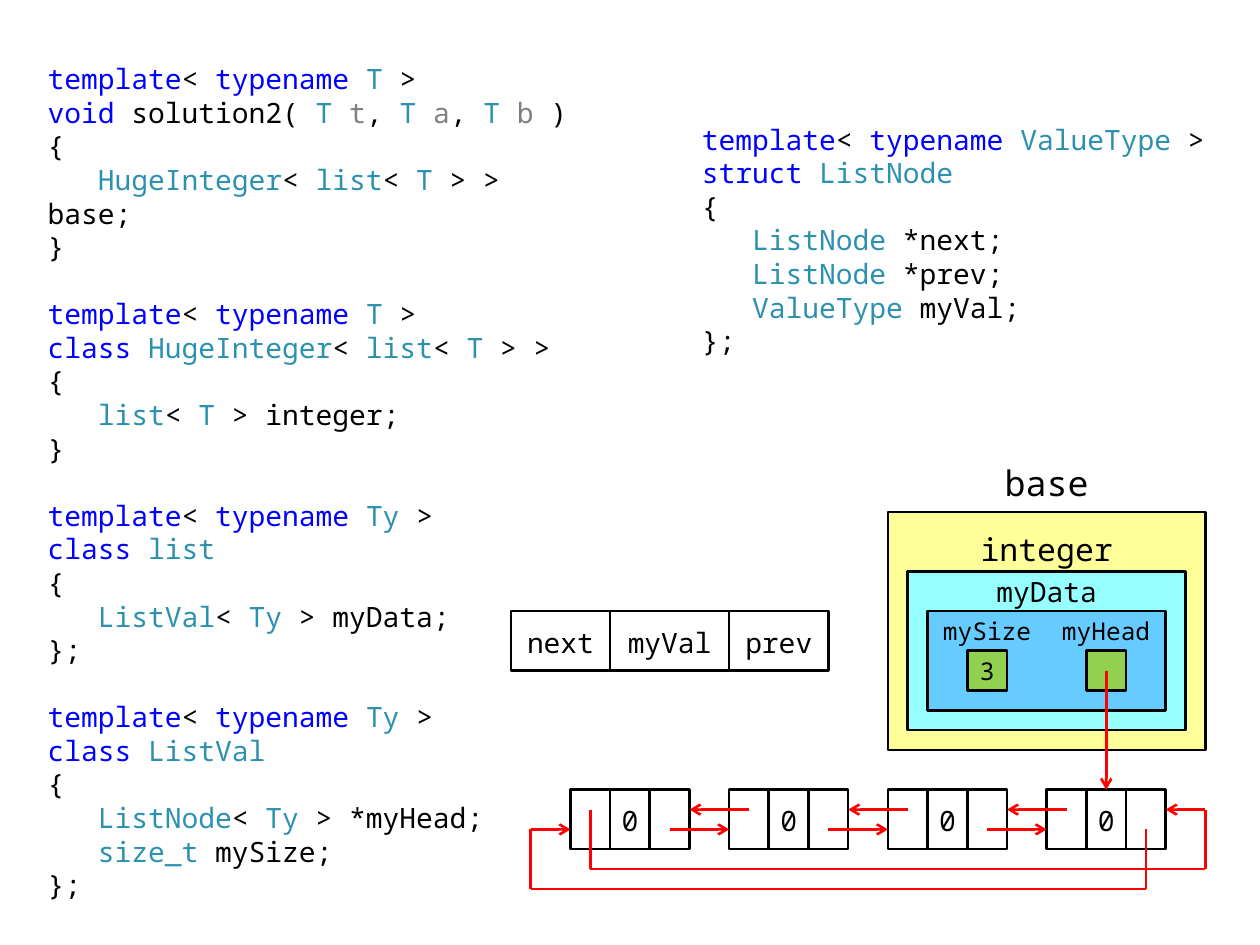
from dataclasses import dataclass
from itertools import groupby

from lxml import etree
from pptx import Presentation
from pptx.dml.color import RGBColor
from pptx.enum.shapes import MSO_CONNECTOR, MSO_SHAPE
from pptx.enum.text import MSO_ANCHOR, PP_ALIGN
from pptx.oxml.ns import qn
from pptx.util import Cm, Pt

RECT = MSO_SHAPE.RECTANGLE
PROCESS = MSO_SHAPE.FLOWCHART_PROCESS
STRAIGHT = MSO_CONNECTOR.STRAIGHT
MIDDLE, TOP = MSO_ANCHOR.MIDDLE, MSO_ANCHOR.TOP
CENTER = PP_ALIGN.CENTER


@dataclass(frozen=True)
class Theme:
    font: str = "Noto Sans Mono"
    text: RGBColor = RGBColor(0, 0, 0)
    keyword: RGBColor = RGBColor(0x00, 0x00, 0xFF)
    type_name: RGBColor = RGBColor(0x2B, 0x91, 0xAF)
    parameter: RGBColor = RGBColor(0x80, 0x80, 0x80)
    pointer: RGBColor = RGBColor(0xFF, 0x00, 0x00)
    base: RGBColor = RGBColor(0xFF, 0xFF, 0x99)
    integer: RGBColor = RGBColor(0x96, 0xFF, 0xFF)
    data: RGBColor = RGBColor(0x66, 0xCC, 0xFF)
    field: RGBColor = RGBColor(0x92, 0xD0, 0x50)
    small: Pt = Pt(14)
    code: Pt = Pt(16)
    medium: Pt = Pt(18)
    large: Pt = Pt(20)
    code_line: Pt = Pt(19.2)
    stroke: Pt = Pt(1.5)


THEME = Theme()

# The diagram lies on a square grid; positions in it are (column, row).
GRID_LEFT, GRID_TOP, STEP = 10.3, 10.32, 0.4

TOKEN_COLORS = {
    **dict.fromkeys("template typename void class struct".split(), THEME.keyword),
    **dict.fromkeys("T Ty HugeInteger list ListVal ListNode ValueType size_t".split(),
                    THEME.type_name),
    **dict.fromkeys("t a b".split(), THEME.parameter),
}

LIST_CODE = """\
template< typename T >
void solution2( T t, T a, T b )
{
   HugeInteger< list< T > > base;
}

template< typename T >
class HugeInteger< list< T > >
{
   list< T > integer;
}

template< typename Ty >
class list
{
   ListVal< Ty > myData;
};

template< typename Ty >
class ListVal
{
   ListNode< Ty > *myHead;
   size_t mySize;
};"""

NODE_CODE = """\
template< typename ValueType >
struct ListNode
{
   ListNode *next;
   ListNode *prev;
   ValueType myVal;
};"""


def grid_x(col):
    return Cm(GRID_LEFT + col * STEP)


def grid_y(row):
    return Cm(GRID_TOP + row * STEP)


def is_word_char(char):
    return char.isalnum() or char == "_"


def add_code(slide, left, top, width, height, code):
    """Add highlighted code; blocks parted by a blank line get space between them."""
    tf = slide.shapes.add_textbox(Cm(left), Cm(top), Cm(width), Cm(height)).text_frame
    tf.word_wrap = True
    tf.vertical_anchor = TOP
    p = None
    for block in code.split("\n\n"):
        for i, line in enumerate(block.split("\n")):
            first = p is None
            p = tf.paragraphs[0] if first else tf.add_paragraph()
            p.line_spacing = THEME.code_line
            p.space_before = THEME.code_line if i == 0 and not first else Pt(0)
            p.font.name, p.font.size = THEME.font, THEME.code
            for _, chars in groupby(line, is_word_char):
                r = p.add_run()
                r.text = "".join(chars)
                r.font.color.rgb = TOKEN_COLORS.get(r.text, THEME.text)


def set_label(sp, text, size, inset_top=0.0):
    tf = sp.text_frame
    tf.word_wrap = True
    tf.vertical_anchor = MIDDLE
    tf.margin_left = tf.margin_right = tf.margin_bottom = 0
    tf.margin_top = Cm(inset_top)
    p = tf.paragraphs[0]
    p.text = text
    p.alignment = CENTER
    p.font.name, p.font.size = THEME.font, size
    p.font.color.rgb = THEME.text


def add_box(slide, col, row, cols, rows, fill=None, kind=RECT):
    sp = slide.shapes.add_shape(kind, grid_x(col), grid_y(row),
                                Cm(cols * STEP), Cm(rows * STEP))
    sp.shadow.inherit = False
    if fill is None:
        sp.fill.background()
    else:
        sp.fill.solid()
        sp.fill.fore_color.rgb = fill
    sp.line.color.rgb = THEME.text
    sp.line.width = THEME.stroke
    return sp


def add_label(slide, col, row, cols, rows, text, size, inset_top=0.0):
    sp = slide.shapes.add_textbox(grid_x(col), grid_y(row),
                                  Cm(cols * STEP), Cm(rows * STEP))
    set_label(sp, text, size, inset_top)


def add_pointer(slide, *points):
    """Join the grid points with straight lines, with an arrowhead at the last."""
    for start, end in zip(points, points[1:]):
        cxn = slide.shapes.add_connector(STRAIGHT, grid_x(start[0]), grid_y(start[1]),
                                         grid_x(end[0]), grid_y(end[1]))
        cxn.line.color.rgb = THEME.pointer
        cxn.line.width = THEME.stroke
        sp_pr = cxn._element.spPr
        if end == points[-1]:
            etree.SubElement(sp_pr.find(qn("a:ln")), qn("a:tailEnd"), type="arrow")
        etree.SubElement(sp_pr, qn("a:effectLst"))


def add_base_object(slide):
    add_box(slide, 19, 0, 16, 12, THEME.base, PROCESS)
    add_box(slide, 20, 3, 14, 8, THEME.integer, PROCESS)
    add_box(slide, 21, 5, 12, 5, THEME.data, PROCESS)
    add_label(slide, 20, -3, 14, 3, "base", THEME.large)
    add_label(slide, 23, 0, 8, 3, "integer", THEME.medium, 0.3)
    add_label(slide, 23, 3, 8, 2, "myData", THEME.code)
    for col, name, value in ((21, "mySize", "3"), (27, "myHead", "")):
        add_label(slide, col, 5, 6, 2, name, THEME.small)
        field = add_box(slide, col + 2, 7, 2, 2, THEME.field)
        if value:
            set_label(field, value, THEME.small)


def add_node_layout(slide):
    for col, cols, name in ((0, 5, "next"), (5, 6, "myVal"), (11, 5, "prev")):
        set_label(add_box(slide, col, 5, cols, 3), name, THEME.code, 0.05)


def add_linked_list(slide):
    node_cols = range(3, 28, 8)
    for col in node_cols:
        for offset in (0, 2, 4):
            cell = add_box(slide, col + offset, 14, 2, 3)
            if offset == 2:
                set_label(cell, "0", THEME.code, 0.05)
    for col, following in zip(node_cols, node_cols[1:]):
        add_pointer(slide, (following + 1, 15), (col + 6, 15))
        add_pointer(slide, (col + 5, 16), (following, 16))
    add_pointer(slide, (4, 15), (4, 18), (35, 18), (35, 15), (33, 15))
    add_pointer(slide, (32, 16), (32, 19), (1, 19), (1, 16), (3, 16))
    add_pointer(slide, (30, 8), (30, 14))


def main():
    prs = Presentation()
    prs.slide_width, prs.slide_height = Cm(25.4), Cm(19.05)
    slide = prs.slides.add_slide(prs.slide_layouts.get_by_name("Blank"))
    add_code(slide, 0.71, 1.12, 11.6, 16.8, LIST_CODE)
    add_code(slide, 13.9, 2.34, 10.8, 5.2, NODE_CODE)
    add_base_object(slide)
    add_node_layout(slide)
    add_linked_list(slide)
    prs.save("out.pptx")


if __name__ == "__main__":
    main()
